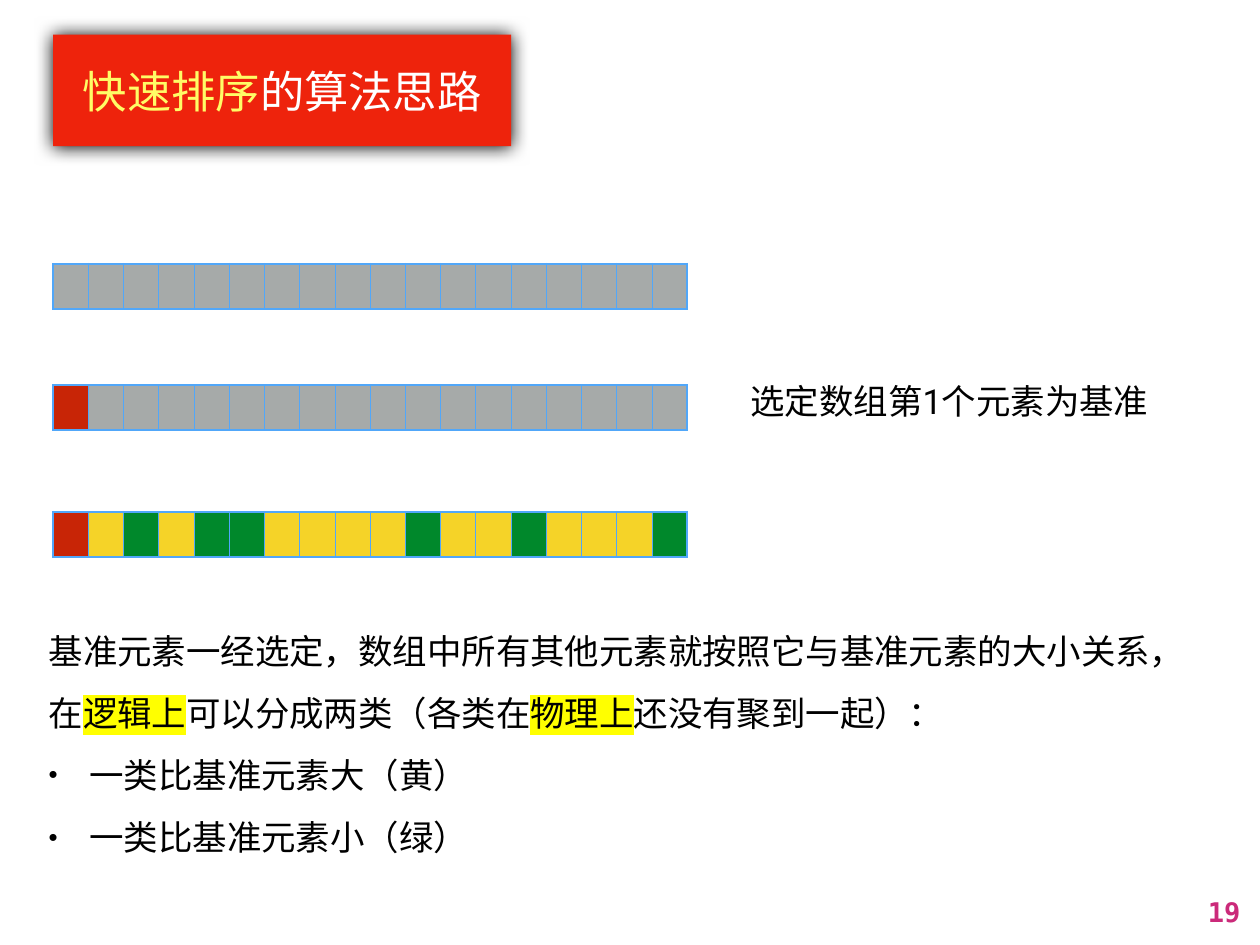
"""Build the slide that explains the idea behind quicksort."""
from dataclasses import dataclass

from lxml.etree import SubElement
from pptx import Presentation
from pptx.dml.color import RGBColor as Color
from pptx.enum.text import MSO_ANCHOR as Anchor, MSO_AUTO_SIZE as AutoSize, PP_ALIGN as Align
from pptx.oxml.ns import qn
from pptx.util import Inches, Pt


@dataclass(frozen=True)
class Theme:
    title_font: str = "Arial"
    text_font: str = "Roboto"
    number_font: str = "DejaVu Sans Mono"
    title_size: int = 36
    text_size: int = 28
    number_size: int = 22
    text: str = "000000"
    banner: str = "EE230C"
    banner_text: str = "FFFFFF"
    banner_accent: str = "FFFC66"
    marker: str = "FFFF00"
    number: str = "CB2A7A"
    border: str = "51A7F9"
    pivot: str = "C82506"
    plain: str = "A6AAA9"
    larger: str = "F5D328"
    smaller: str = "00882B"


THEME = Theme()
SLIDE_SIZE = (14.22, 10.67)
TITLE = [("快速排序", THEME.banner_accent), ("的算法思路", THEME.banner_text)]
LABEL = "选定数组第1个元素为基准"
PAGE_NUMBER = "19"
INTRO = [
    ("基准元素一经选定，数组中所有其他元素就按照它与基准元素的大小关系，在", False),
    ("逻辑上", True),
    ("可以分成两类（各类在", False),
    ("物理上", True),
    ("还没有聚到一起）：", False),
]
CLASSES = ["一类比基准元素大（黄）", "一类比基准元素小（绿）"]

CELL_COLORS = {"P": THEME.pivot, "-": THEME.plain, "L": THEME.larger, "S": THEME.smaller}
ARRAYS = [
    (2.98, "-" * 18),
    (4.35, "P" + "-" * 17),
    (5.78, "PLSLSSLLLLSLLSLLLS"),
]
ARRAY_LEFT, ARRAY_WIDTH, ARRAY_HEIGHT = 0.6, 7.16, 0.51
TITLE_AREA = (0.6, 0.39, 5.17, 1.26)
LABEL_AREA = (8.43, 4.25, 4.62, 0.56)
BODY_AREA = (0.51, 6.87, 12.96, 2.83)
NUMBER_AREA = (13.55, 10.04, 0.52, 0.5)


def place(shape, area):
    shape.left, shape.top, shape.width, shape.height = map(Inches, area)


def set_frame(frame, inset, anchor, wrap=True, size=AutoSize.SHAPE_TO_FIT_TEXT):
    frame.margin_left = frame.margin_right = Inches(inset)
    frame.margin_top = frame.margin_bottom = Inches(inset)
    frame.vertical_anchor = anchor
    frame.word_wrap = wrap
    frame.auto_size = size


def style_span(span, name, size, color, bold=False, marker=None):
    font = span.font
    font.name, font.size, font.bold = name, Pt(size), bold
    font.color.rgb = Color.from_string(color)
    latin = font._element.find(qn("a:latin"))
    east_asian = SubElement(font._element, qn("a:ea"), typeface=name)
    latin.addnext(east_asian)
    if marker:
        highlight = SubElement(font._element, qn("a:highlight"))
        SubElement(highlight, qn("a:srgbClr"), val=marker)
        latin.addprevious(highlight)


def add_span(para, text, *style, **extra):
    span = para.add_run()
    span.text = text
    style_span(span, *style, **extra)


def set_bullet(para, symbol=None):
    props = para._p.get_or_add_pPr()
    indent = Inches(0.46) if symbol else 0
    props.set("marL", str(indent))
    props.set("indent", str(-indent))
    if symbol:
        SubElement(props, qn("a:buSzPct"), val="75000")
        SubElement(props, qn("a:buChar"), char=symbol)
    else:
        SubElement(props, qn("a:buNone"))


def add_title(page):
    title = page.shapes.title
    place(title, TITLE_AREA)
    title.fill.solid()
    title.fill.fore_color.rgb = Color.from_string(THEME.banner)
    title.line.fill.background()
    title.shadow.inherit = False
    effects = title._element.spPr.find(qn("a:effectLst"))
    shadow = SubElement(effects, qn("a:outerShdw"), blurRad=str(Pt(15)), dist=str(Pt(0.7)),
                        dir="5400000", rotWithShape="0")
    SubElement(shadow, qn("a:srgbClr"), val="000000")
    set_frame(title.text_frame, 0.07, Anchor.MIDDLE, size=AutoSize.NONE)
    para = title.text_frame.paragraphs[0]
    para.alignment = Align.CENTER
    for text, color in TITLE:
        add_span(para, text, THEME.title_font, THEME.title_size, color)


def add_body(page):
    body = page.placeholders[1]
    place(body, BODY_AREA)
    frame = body.text_frame
    set_frame(frame, 0.04, Anchor.MIDDLE)
    paras = [frame.paragraphs[0]] + [frame.add_paragraph() for _ in CLASSES]
    style = (THEME.text_font, THEME.text_size, THEME.text)
    set_bullet(paras[0])
    for text, marked in INTRO:
        add_span(paras[0], text, *style, marker=THEME.marker if marked else None)
    for para, text in zip(paras[1:], CLASSES):
        set_bullet(para, "•")
        add_span(para, text, *style)
    for para in paras:
        para.alignment = Align.LEFT
        para.line_spacing = 1.5
        para.space_before = Pt(0)


def add_text(page, area, text, style, inset, anchor, align=Align.LEFT, wrap=True, bold=False):
    box = page.shapes.add_textbox(*map(Inches, area))
    set_frame(box.text_frame, inset, anchor, wrap)
    para = box.text_frame.paragraphs[0]
    para.text = text
    para.alignment = align
    style_span(para.runs[0], *style, bold=bold)


def set_borders(cell, widths):
    props = cell._tc.get_or_add_tcPr()
    for index, (side, width) in enumerate(widths.items()):
        line = SubElement(props, qn(f"a:ln{side}"), w=str(Pt(width)))
        fill = SubElement(line, qn("a:solidFill"))
        SubElement(fill, qn("a:srgbClr"), val=THEME.border)
        props.insert(index, line)


def add_array(page, top, pattern):
    count = len(pattern)
    area = (ARRAY_LEFT, top, ARRAY_WIDTH, ARRAY_HEIGHT)
    table = page.shapes.add_table(1, count, *map(Inches, area)).table
    table.first_row = table.horz_banding = False
    for index, kind in enumerate(pattern):
        table.columns[index].width = Inches(ARRAY_WIDTH / count)
        cell = table.cell(0, index)
        cell.fill.solid()
        cell.fill.fore_color.rgb = Color.from_string(CELL_COLORS[kind])
        left = 2 if index == 0 else 1
        right = 2 if index == count - 1 else 1
        set_borders(cell, {"L": left, "R": right, "T": 2, "B": 2})


def main():
    deck = Presentation()
    deck.slide_width, deck.slide_height = map(Inches, SLIDE_SIZE)
    page = deck.slides.add_slide(deck.slide_layouts[1])
    add_title(page)
    for top, pattern in ARRAYS:
        add_array(page, top, pattern)
    add_text(page, LABEL_AREA, LABEL, (THEME.text_font, THEME.text_size, THEME.text),
             0.04, Anchor.MIDDLE)
    add_body(page)
    add_text(page, NUMBER_AREA, PAGE_NUMBER,
             (THEME.number_font, THEME.number_size, THEME.number),
             0.07, Anchor.TOP, Align.RIGHT, wrap=False, bold=True)
    deck.save("out.pptx")


if __name__ == "__main__":
    main()
